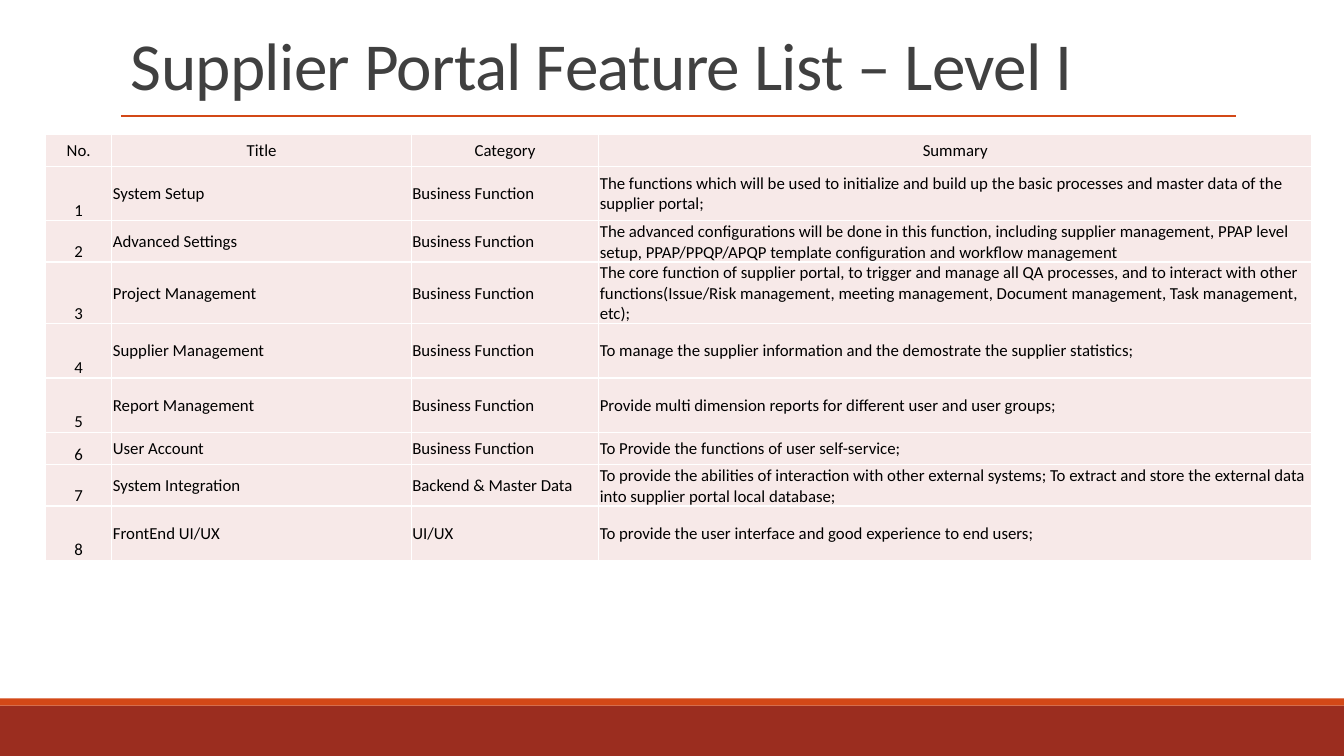
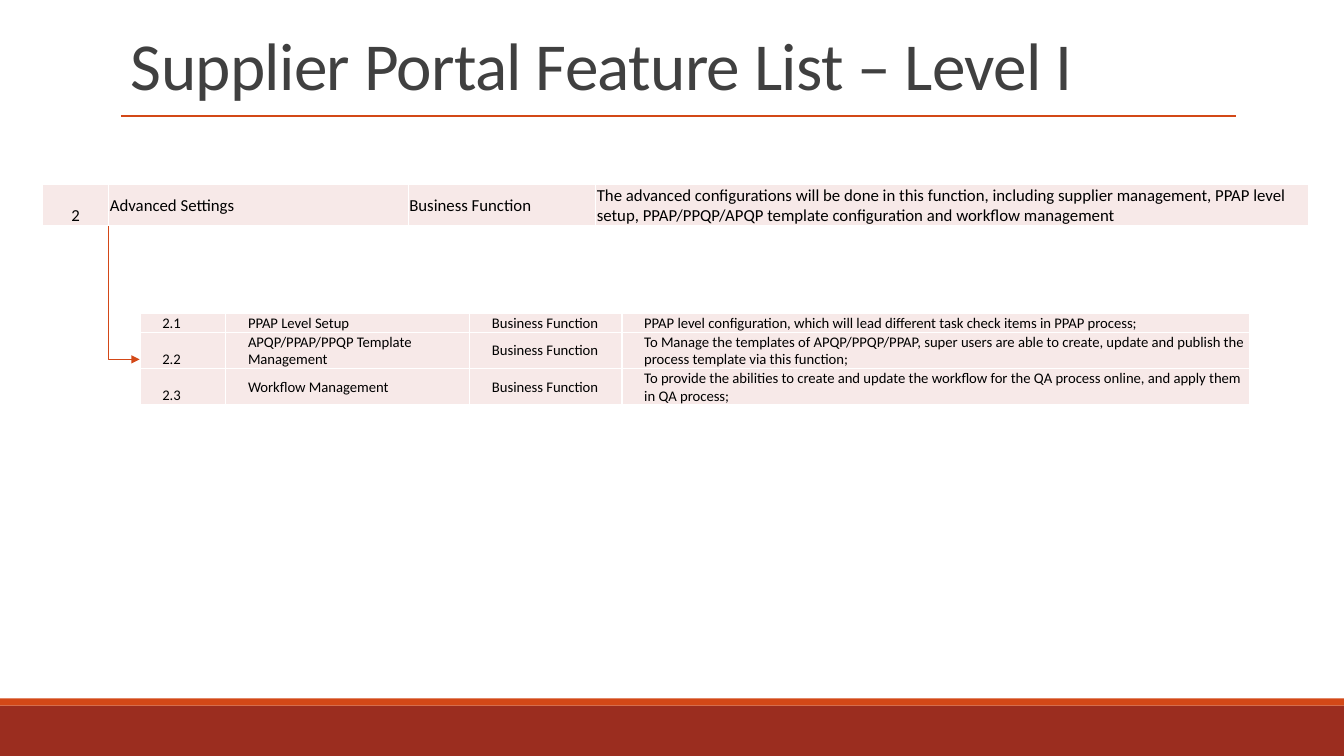
from lxml.etree import SubElement
from pptx import Presentation
from pptx.dml.color import RGBColor
from pptx.enum.shapes import MSO_CONNECTOR as CONNECTOR, MSO_SHAPE as SHAPE
from pptx.enum.text import MSO_ANCHOR as ANCHOR, PP_ALIGN as ALIGN
from pptx.oxml.ns import qn
from pptx.util import Inches, Pt

COLORS = {
    "band": "9B2D1F",
    "accent": "D34817",
    "title": "404040",
    "text": "000000",
    "cell": "F7E9E8",
    "border": "FFFFFF",
}
RGB = {name: RGBColor.from_string(value) for name, value in COLORS.items()}
FONT = "Calibri"
TITLE = "Supplier Portal Feature List – Level I"
BANDS = [("band", 7, 0.5), ("accent", 6.93, 0.07)]
TITLE_FORMAT = {"name": FONT, "size": Pt(48)}
FEATURE_WIDTHS = [0.66, 2.97, 1.86, 7.07]
DETAIL_WIDTHS = [0.85, 2.42, 1.51, 6.22]

features = [
    ("No.", "Title", "Category", "Summary"),
    ("1", "System Setup", "Business Function",
     "The functions which will be used to initialize and build up the basic processes "
     "and master data of the supplier portal;"),
    ("2", "Advanced Settings", "Business Function",
     "The advanced configurations will be done in this function, including supplier "
     "management, PPAP level setup, PPAP/PPQP/APQP template configuration and "
     "workflow management"),
    ("3", "Project Management", "Business Function",
     "The core function of supplier portal, to trigger and manage all QA processes, "
     "and to interact with other functions(Issue/Risk management, meeting management, "
     "Document management, Task management, etc);"),
    ("4", "Supplier Management", "Business Function",
     "To manage the supplier information and the demostrate the supplier statistics;"),
    ("5", "Report Management", "Business Function",
     "Provide multi dimension reports for different user and user groups;"),
    ("6", "User Account", "Business Function",
     "To Provide the functions of user self-service;"),
    ("7", "System Integration", "Backend & Master Data",
     "To provide the abilities of interaction with other external systems; To extract "
     "and store the external data into supplier portal local database;"),
    ("8", "FrontEnd UI/UX", "UI/UX",
     "To provide the user interface and good experience to end users;"),
]
feature_heights = [0.32, 0.54, 0.3, 0.3, 0.54, 0.54, 0.32, 0.32, 0.54]

details = [
    ("2.1", "PPAP Level Setup", "Business Function",
     "PPAP level configuration, which will lead different task check items in PPAP process;"),
    ("2.2", "APQP/PPAP/PPQP Template Management", "Business Function",
     "To Manage the templates of APQP/PPQP/PPAP, super users are able to create, update "
     "and publish the process template via this function;"),
    ("2.3", "Workflow Management", "Business Function",
     "To provide the abilities to create and update the workflow for the QA process "
     "online, and apply them in QA process;"),
]


def add_line(page, kind, start, end):
    line = page.shapes.add_connector(kind, *map(Inches, start + end))
    line.line.color.rgb = RGB["accent"]
    line.line.width = Pt(1)
    SubElement(line._element.spPr, qn("a:effectLst"))
    return line


def add_grid(page, left, top, widths, heights, rows, size, indent):
    frame = page.shapes.add_table(
        len(rows), len(widths), Inches(left), Inches(top),
        Inches(sum(widths)), Inches(sum(heights)))
    table = frame.table
    table.first_row = table.horz_banding = False
    for column, width in zip(table.columns, widths):
        column.width = Inches(width)
    for row, height, values in zip(table.rows, heights, rows):
        row.height = Inches(height)
        header = values[0] == "No."
        for index, (cell, value) in enumerate(zip(row.cells, values)):
            number = index == 0 and not header
            centered = header or (number and "." not in value)
            cell_format = {
                "margin_left": Inches(indent),
                "margin_top": Inches(0.01),
                "margin_right": Inches(0.01),
                "margin_bottom": 0,
                "vertical_anchor": ANCHOR.BOTTOM if number else ANCHOR.MIDDLE,
            }
            for key, setting in cell_format.items():
                setattr(cell, key, setting)
            para = cell.text_frame.paragraphs[0]
            para.alignment = ALIGN.CENTER if centered else ALIGN.LEFT
            span = para.add_run()
            span.text = value
            for key, setting in {"name": FONT, "size": Pt(size)}.items():
                setattr(span.font, key, setting)
            span.font.color.rgb = RGB["text"]
            properties = cell._tc.get_or_add_tcPr()
            for side in ("lnL", "lnR", "lnT", "lnB"):
                border = SubElement(properties, qn(f"a:{side}"), w=str(Pt(1)))
                fill = SubElement(border, qn("a:solidFill"))
                SubElement(fill, qn("a:srgbClr"), val=COLORS["border"])
            cell.fill.solid()
            cell.fill.fore_color.rgb = RGB["cell"]


deck = Presentation()
deck.slide_width = Inches(13.33)
deck.slide_height = Inches(7.5)
pages = [deck.slides.add_slide(deck.slide_layouts[6]) for _ in range(2)]

for page in pages:
    for color, top, height in BANDS:
        band = page.shapes.add_shape(
            SHAPE.RECTANGLE, 0, Inches(top), deck.slide_width, Inches(height))
        band.shadow.inherit = False
        band.fill.solid()
        band.fill.fore_color.rgb = RGB[color]
        band.line.fill.background()
    add_line(page, CONNECTOR.STRAIGHT, (1.2, 1.15), (12.26, 1.15))
    box = page.shapes.add_textbox(Inches(1.2), Inches(0.27), Inches(11), Inches(0.81))
    box.text_frame.word_wrap = True
    box.text_frame.vertical_anchor = ANCHOR.BOTTOM
    para = box.text_frame.paragraphs[0]
    para.line_spacing = 0.85
    span = para.add_run()
    span.text = TITLE
    for key, setting in TITLE_FORMAT.items():
        setattr(span.font, key, setting)
    span.font.color.rgb = RGB["title"]
    span.font._element.set("spc", "-50")

list_page, detail_page = pages
add_grid(list_page, 0.45, 1.33, FEATURE_WIDTHS, feature_heights, features, 12, 0.01)
add_grid(detail_page, 0.42, 1.83, FEATURE_WIDTHS, [0.3], [features[2]], 12, 0.01)
add_grid(detail_page, 1.39, 3.11, DETAIL_WIDTHS, [0.16, 0.27, 0.27], details, 10.5, 0.22)

arrow = add_line(detail_page, CONNECTOR.ELBOW, (0.57, 2.75), (1.89, 3.06))
arrow._element.spPr.find(qn("a:prstGeom")).set("prst", "bentConnector2")
transform = arrow._element.spPr.find(qn("a:xfrm"))
transform.set("rot", str(270 * 60000))
transform.set("flipH", "1")
SubElement(arrow.line._get_or_add_ln(), qn("a:tailEnd"), type="triangle")

deck.save("out.pptx")
